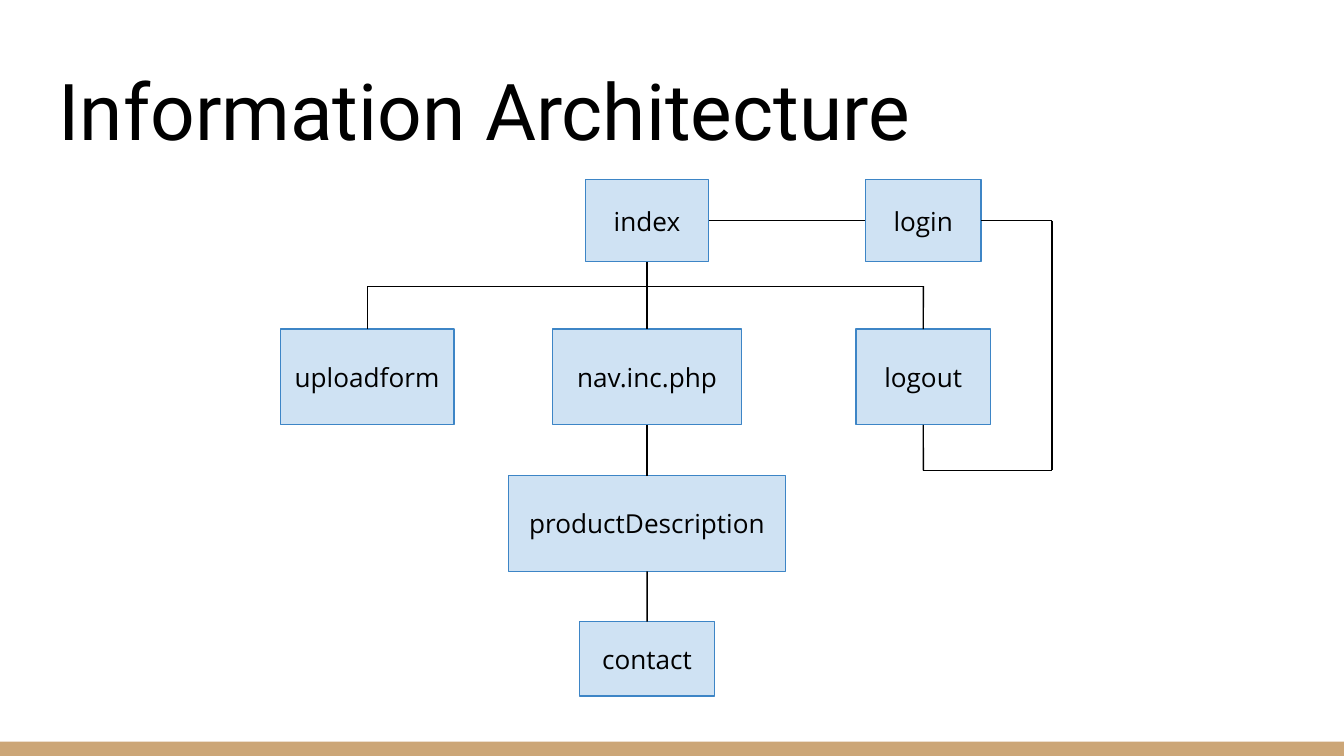
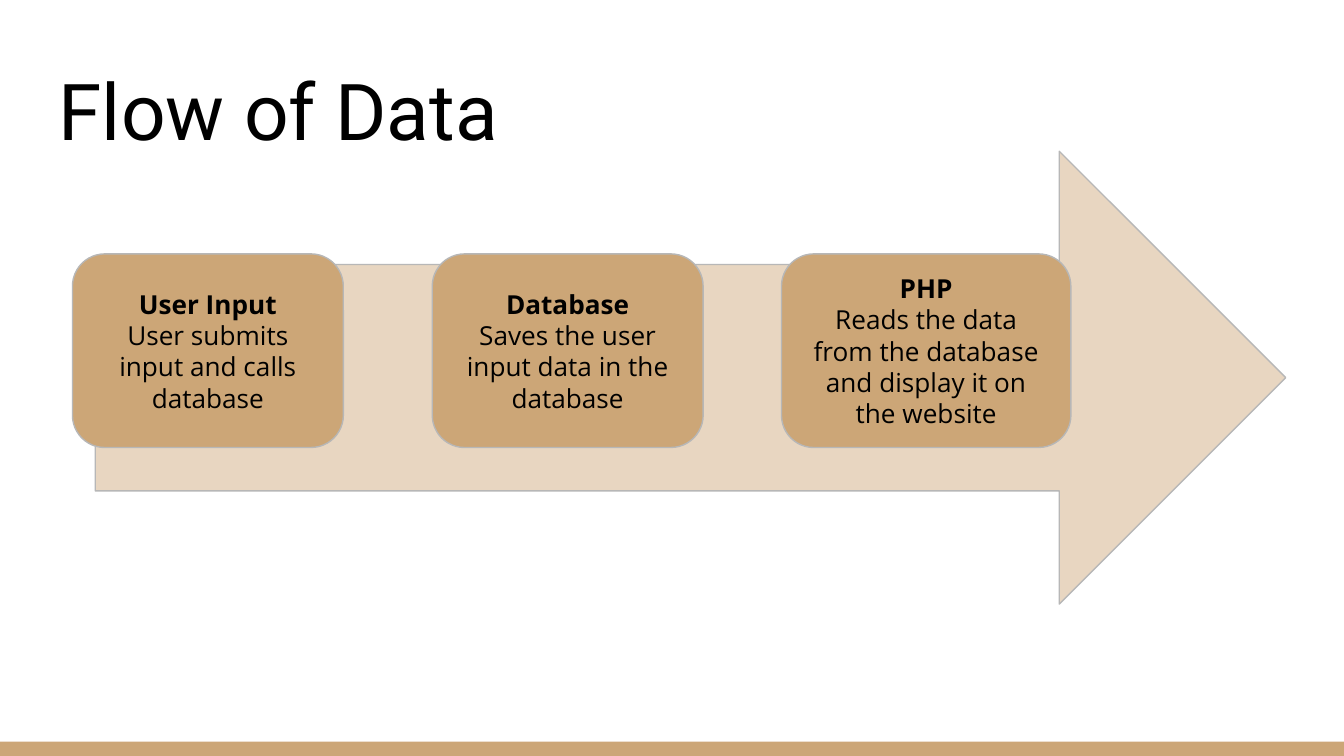
from pptx import Presentation
from pptx.dml.color import RGBColor
from pptx.enum.shapes import MSO_CONNECTOR, MSO_SHAPE
from pptx.enum.text import MSO_ANCHOR, PP_ALIGN
from pptx.oxml.ns import qn
from pptx.util import Cm, Pt
from lxml.etree import SubElement

BLACK = RGBColor(0x00, 0x00, 0x00)
TAN = RGBColor(0xCC, 0xA6, 0x77)
GRAY = RGBColor(0xB7, 0xB7, 0xB7)
SKY = RGBColor(0xCF, 0xE2, 0xF3)
BLUE = RGBColor(0x3D, 0x85, 0xC6)
WIDTH, HEIGHT = 25.4, 14.29
TOP, LEFT, BOTTOM, RIGHT = range(4)


class Deck:
    def __init__(self):
        self.prs = Presentation()
        self.prs.slide_width = Cm(WIDTH)
        self.prs.slide_height = Cm(HEIGHT)
        self.slide = None

    def page(self, title):
        self.slide = self.prs.slides.add_slide(self.prs.slide_layouts[6])
        self.shape(MSO_SHAPE.RECTANGLE, 0, 14.02, WIDTH, 0.27, TAN)
        box = self.slide.shapes.add_textbox(Cm(0.86), Cm(0.89), Cm(23.67), Cm(2.31))
        self.text(box, [(title, False)], "Roboto", 42, PP_ALIGN.LEFT, MSO_ANCHOR.BOTTOM)

    def shape(self, kind, x, y, w, h, fill, line=None):
        item = self.slide.shapes.add_shape(kind, Cm(x), Cm(y), Cm(w), Cm(h))
        item.shadow.inherit = False
        item.fill.solid()
        item.fill.fore_color.rgb = fill
        if line is None:
            item.line.fill.background()
        else:
            item.line.color.rgb = line
            item.line.width = Pt(0.75)
        return item

    def text(self, item, lines, font="Open Sans", size=14,
             align=PP_ALIGN.CENTER, anchor=MSO_ANCHOR.MIDDLE):
        frame = item.text_frame
        frame.word_wrap = True
        frame.vertical_anchor = anchor
        frame.margin_left = frame.margin_right = Cm(0.25)
        frame.margin_top = frame.margin_bottom = Cm(0.25)
        for i, (words, bold) in enumerate(lines):
            para = frame.add_paragraph() if i else frame.paragraphs[0]
            para.alignment = align
            run = para.add_run()
            run.text = words
            run.font.name = font
            run.font.size = Pt(size)
            run.font.bold = bold
            run.font.color.rgb = BLACK

    def node(self, name, mid, y, w, h):
        item = self.shape(MSO_SHAPE.RECTANGLE, mid - w / 2, y, w, h, SKY, BLUE)
        self.text(item, [(name, False)])
        return item

    def card(self, head, body, x, w):
        item = self.shape(MSO_SHAPE.ROUNDED_RECTANGLE, x, 4.8, w, 3.66, TAN, GRAY)
        self.text(item, [(head, True), (body, False)])

    def arrow(self, x, y, w, h, alpha):
        item = self.shape(MSO_SHAPE.RIGHT_ARROW, x, y, w, h, TAN, GRAY)
        color = item._element.spPr.find(qn("a:solidFill"))[0]
        SubElement(color, qn("a:alpha")).set("val", str(alpha * 1000))

    def spot(self, stop):
        item, side = stop
        if isinstance(item, (int, float)):
            return Cm(item), Cm(side)
        x, y = item.left + item.width // 2, item.top + item.height // 2
        return {
            TOP: (x, item.top),
            LEFT: (item.left, y),
            BOTTOM: (x, item.top + item.height),
            RIGHT: (item.left + item.width, y),
        }[side]

    def wire(self, *stops):
        for start, end in zip(stops, stops[1:]):
            line = self.slide.shapes.add_connector(
                MSO_CONNECTOR.STRAIGHT, *self.spot(start), *self.spot(end))
            line.line.color.rgb = BLACK
            line.line.width = Pt(0.75)
            SubElement(line._element.spPr, qn("a:effectLst"))
            if not isinstance(start[0], (int, float)):
                line.begin_connect(*start)
            if not isinstance(end[0], (int, float)):
                line.end_connect(*end)


def site(deck):
    deck.page("Information Architecture")
    left, mid, right = 6.94, 12.23, 17.45
    index = deck.node("index", mid, 3.39, 2.32, 1.56)
    login = deck.node("login", right, 3.39, 2.19, 1.56)
    nav = deck.node("nav.inc.php", mid, 6.22, 3.57, 1.81)
    upload = deck.node("uploadform", left, 6.22, 3.28, 1.81)
    product = deck.node("productDescription", mid, 8.99, 5.23, 1.81)
    contact = deck.node("contact", mid, 11.75, 2.55, 1.41)
    logout = deck.node("logout", right, 6.22, 2.55, 1.81)

    chain = [index, nav, product, contact]
    for upper, lower in zip(chain, chain[1:]):
        deck.wire((upper, BOTTOM), (lower, TOP))
    deck.wire((index, RIGHT), (login, LEFT))
    fork = 5.41
    deck.wire((upload, TOP), (left, fork), (right, fork), (logout, TOP))
    edge, base = 19.88, 8.89
    deck.wire((login, RIGHT), (edge, 4.17), (edge, base), (right, base), (logout, BOTTOM))


def flow(deck):
    deck.page("Flow of Data")
    deck.arrow(1.8, 2.86, 22.5, 8.56, 45)
    deck.card("User Input", "User submits input and calls database", 1.37, 5.12)
    deck.card("Database", "Saves the user input data in the database", 8.17, 5.12)
    deck.card("PHP", "Reads the data from the database and display it on the website",
              14.77, 5.47)


def main():
    deck = Deck()
    site(deck)
    flow(deck)
    deck.prs.save("out.pptx")


if __name__ == "__main__":
    main()
